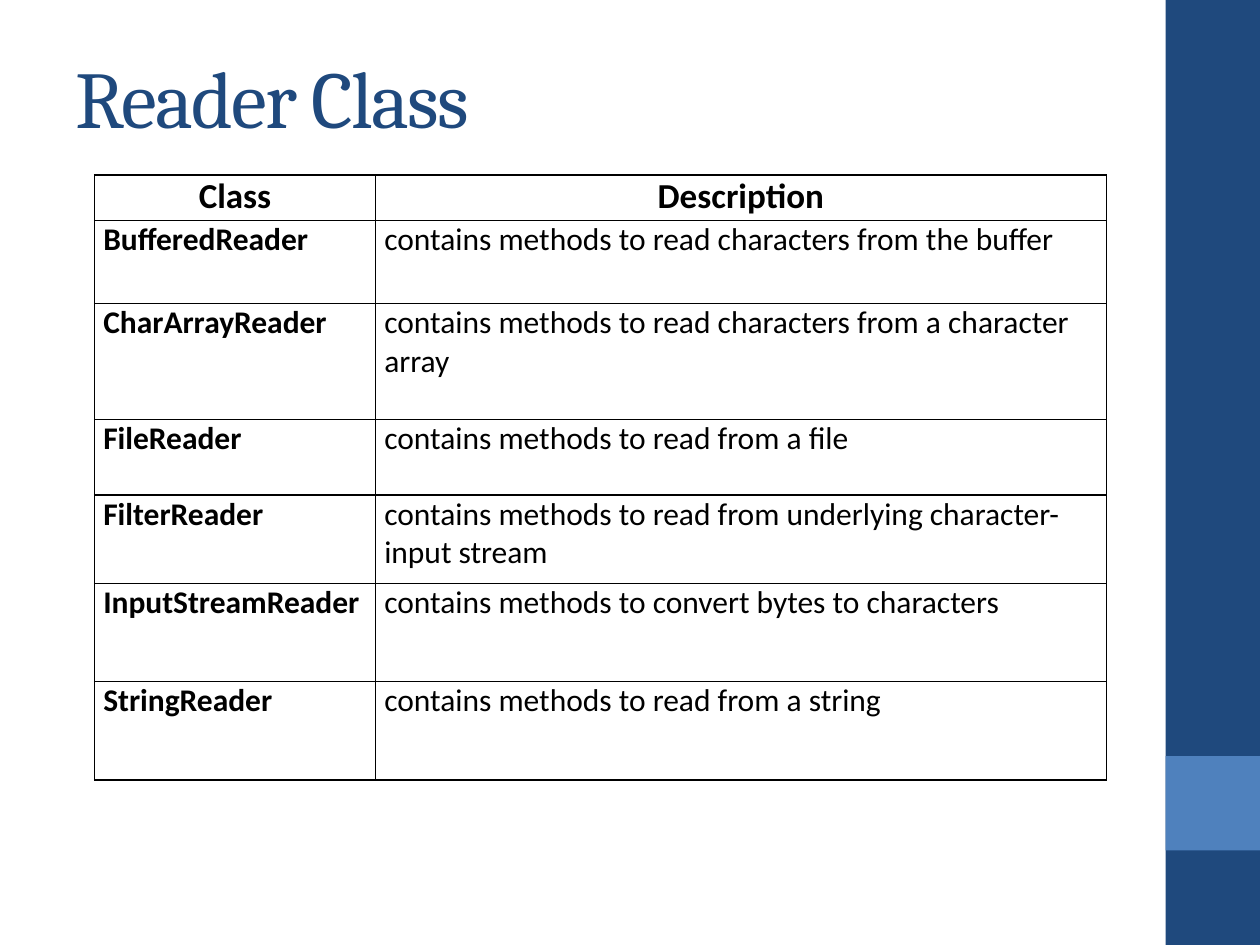
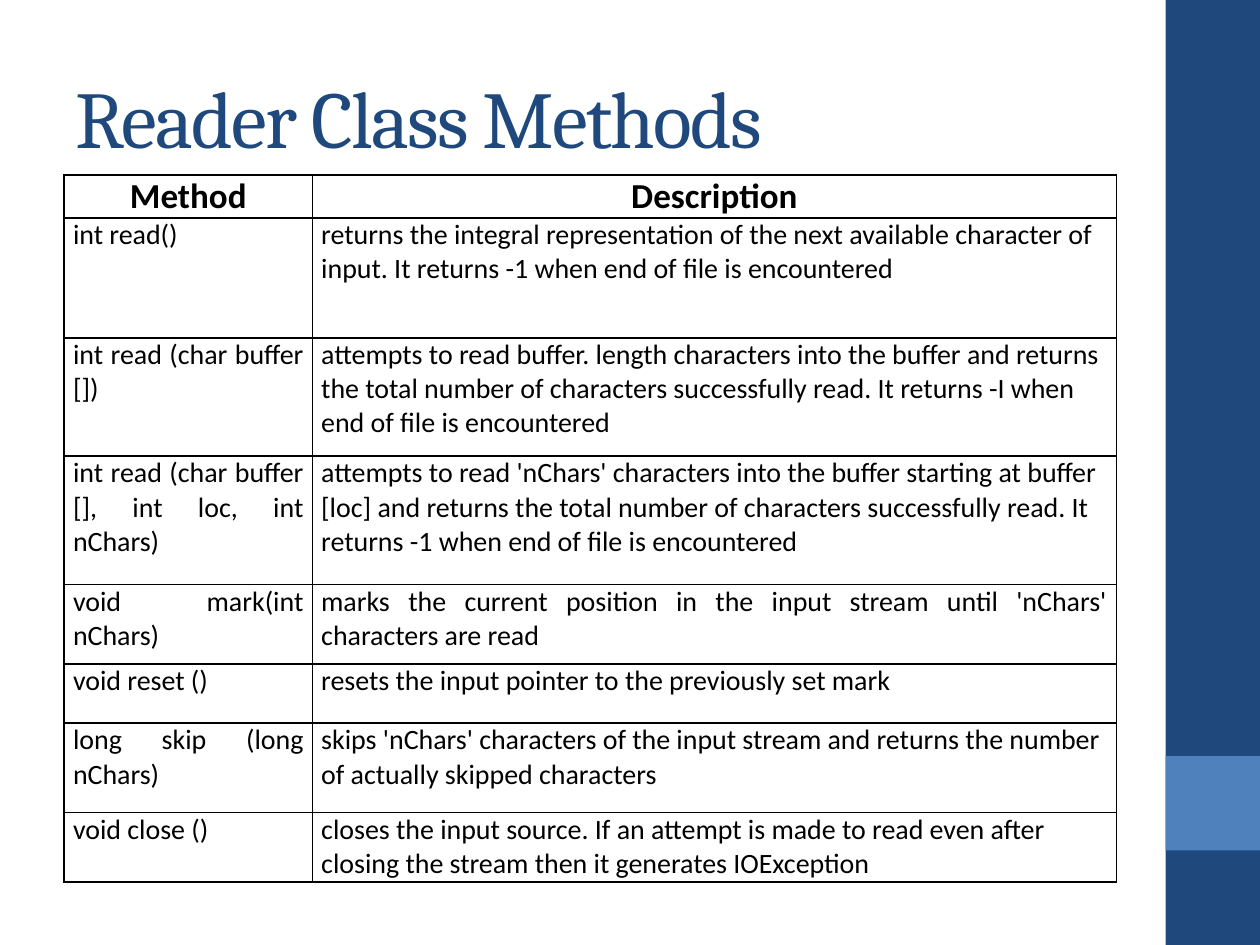
from lxml import etree
from pptx import Presentation
from pptx.dml.color import RGBColor
from pptx.enum import shapes, text
from pptx.oxml.ns import qn
from pptx.util import Inches, Pt

NAVY, BLUE, BLACK, WHITE = "1F497D", "4F81BD", "000000", "FFFFFF"
TITLE_FONT, BODY_FONT = "Cambria", "Calibri"
LEFT, CENTER, JUSTIFY = text.PP_ALIGN.LEFT, text.PP_ALIGN.CENTER, text.PP_ALIGN.JUSTIFY

# Side bands: left, top, width, height, colour
BANDS = [(9.25, 0, 0.75, 7.5, NAVY), (9.25, 6, 0.75, 0.75, BLUE)]

# Content: each row is class or method, description, row height;
# "justified" lists the justified cells as (row, column)
SLIDES = [
    dict(
        title="Reader Class", title_height=0.93,
        left=0.75, cols=[2.23, 5.8], size=18, bold_names=True, justified=set(),
        rows=[
            ("Class", "Description", 0.36),
            ("BufferedReader", "contains methods to read characters from the buffer", 0.66),
            ("CharArrayReader",
             "contains methods to read characters from a character array", 0.92),
            ("FileReader", "contains methods to read from a file", 0.6),
            ("FilterReader",
             "contains methods to read from underlying character-input stream", 0.7),
            ("InputStreamReader", "contains methods to convert bytes to characters", 0.78),
            ("StringReader", "contains methods to read from a string", 0.78),
        ],
    ),
    dict(
        title="Reader Class Methods", title_height=1.25,
        left=0.51, cols=[1.97, 6.38], size=16, bold_names=False,
        justified={(row, 0) for row in range(1, 8)} | {(4, 1), (5, 1)},
        rows=[
            ("Method", "Description", 0.33),
            ("int read()",
             "returns the integral representation of the next available character of "
             "input. It returns -1 when end of file is encountered", 0.95),
            ("int read (char buffer [])",
             "attempts to read buffer. length characters into the buffer and returns "
             "the total number of characters successfully read. It returns -I when "
             "end of file is encountered", 0.94),
            ("int read (char buffer [], int loc, int nChars)",
             "attempts to read 'nChars' characters into the buffer starting at buffer "
             "[loc] and returns the total number of characters successfully read. It "
             "returns -1 when end of file is encountered", 1.02),
            ("void mark(int nChars)",
             "marks the current position in the input stream until 'nChars' "
             "characters are read", 0.63),
            ("void reset ()", "resets the input pointer to the previously set mark", 0.47),
            ("long skip (long nChars)",
             "skips 'nChars' characters of the input stream and returns the number "
             "of actually skipped characters", 0.71),
            ("void close ()",
             "closes the input source. If an attempt is made to read even after "
             "closing the stream then it generates IOException", 0.55),
        ],
    ),
]
TABLE_TOP = 1.39


def rgb(value):
    return RGBColor.from_string(value)


def style(p, font, size, color, bold, align):
    p.alignment = align
    for r in p.runs:
        r.font.name, r.font.size, r.font.bold = font, Pt(size), bold
        r.font.color.rgb = rgb(color)


def add_bands(s):
    for left, top, width, height, color in BANDS:
        sp = s.shapes.add_shape(shapes.MSO_SHAPE.RECTANGLE, Inches(left), Inches(top),
                                Inches(width), Inches(height))
        sp.shadow.inherit = False
        sp.fill.solid()
        sp.fill.fore_color.rgb = rgb(color)
        sp.line.fill.background()


def set_title(s, title, height):
    sp = s.shapes.title
    sp.left, sp.top, sp.width, sp.height = map(Inches, (0.5, 0.3, 8.33, height))
    tf = sp.text_frame
    tf.text = title
    tf.auto_size = text.MSO_AUTO_SIZE.NONE
    tf.vertical_anchor = text.MSO_ANCHOR.MIDDLE
    p = tf.paragraphs[0]
    style(p, TITLE_FONT, 46, NAVY, False, LEFT)
    p.runs[0].font._element.set("spc", "-100")


def add_borders(cell):
    tcPr = cell._tc.get_or_add_tcPr()
    for side in ("a:lnL", "a:lnR", "a:lnT", "a:lnB"):
        ln = etree.SubElement(tcPr, qn(side), w=str(Pt(1)))
        fill = etree.SubElement(ln, qn("a:solidFill"))
        etree.SubElement(fill, qn("a:srgbClr"), val=BLACK)


def add_table(s, data):
    rows, cols = data["rows"], data["cols"]
    height = sum(row[-1] for row in rows)
    table = s.shapes.add_table(len(rows), len(cols), Inches(data["left"]), Inches(TABLE_TOP),
                               Inches(sum(cols)), Inches(height)).table
    table.first_row = table.horz_banding = False
    for column, width in zip(table.columns, cols):
        column.width = Inches(width)
    for i, (*words, row_height) in enumerate(rows):
        table.rows[i].height = Inches(row_height)
        for j, word in enumerate(words):
            cell = table.cell(i, j)
            cell.margin_left = cell.margin_right = Inches(0.07)
            cell.margin_top = cell.margin_bottom = 0
            add_borders(cell)
            cell.fill.solid()
            cell.fill.fore_color.rgb = rgb(WHITE)
            p = cell.text_frame.paragraphs[0]
            p.text = word
            if i == 0:
                style(p, BODY_FONT, 20, BLACK, True, CENTER)
            else:
                align = JUSTIFY if (i, j) in data["justified"] else LEFT
                style(p, BODY_FONT, data["size"], BLACK, j == 0 and data["bold_names"], align)


def main():
    prs = Presentation()
    prs.slide_width, prs.slide_height = Inches(10), Inches(7.5)
    for data in SLIDES:
        s = prs.slides.add_slide(prs.slide_layouts[5])  # title only
        add_bands(s)
        set_title(s, data["title"], data["title_height"])
        add_table(s, data)
    prs.save("out.pptx")


if __name__ == "__main__":
    main()
